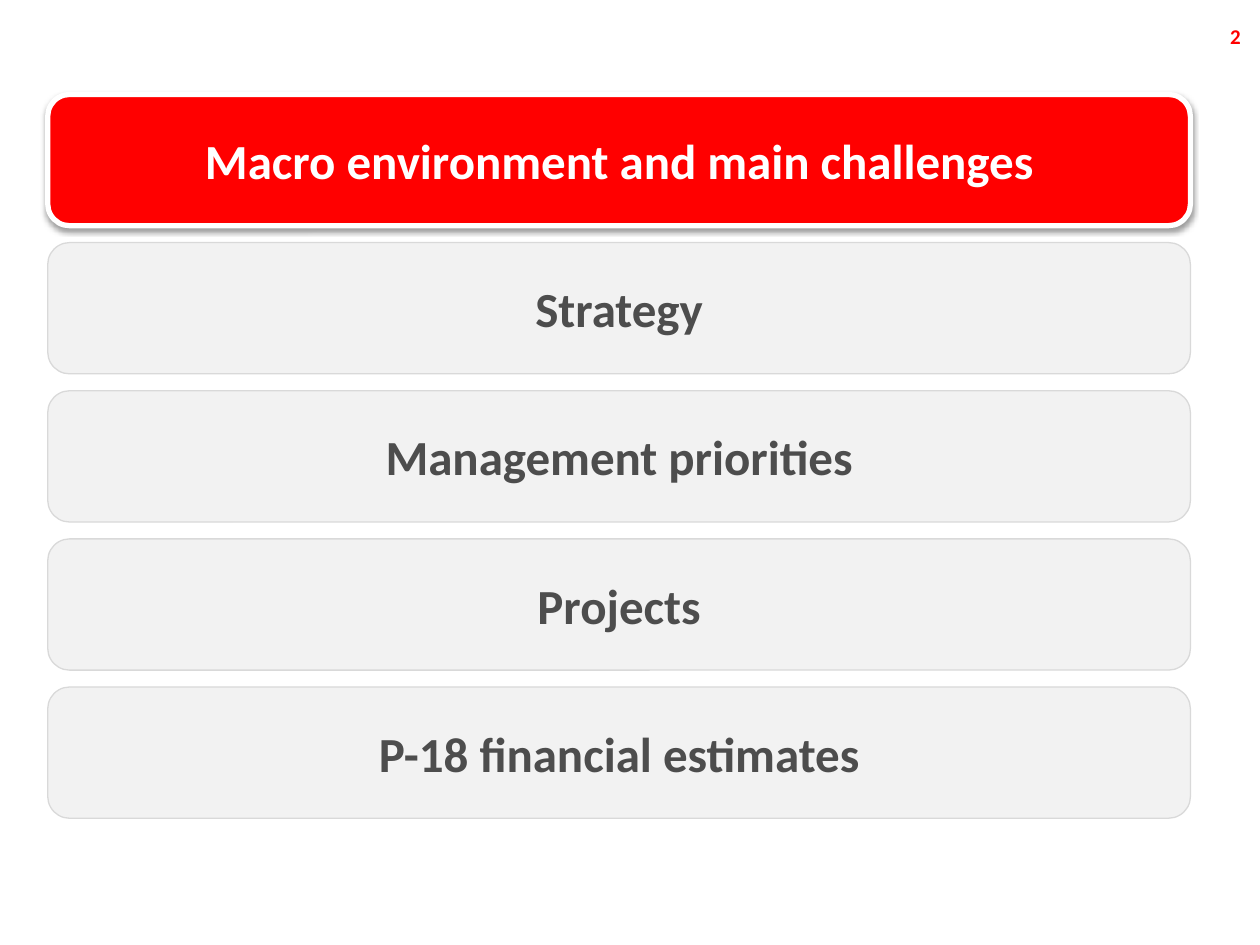
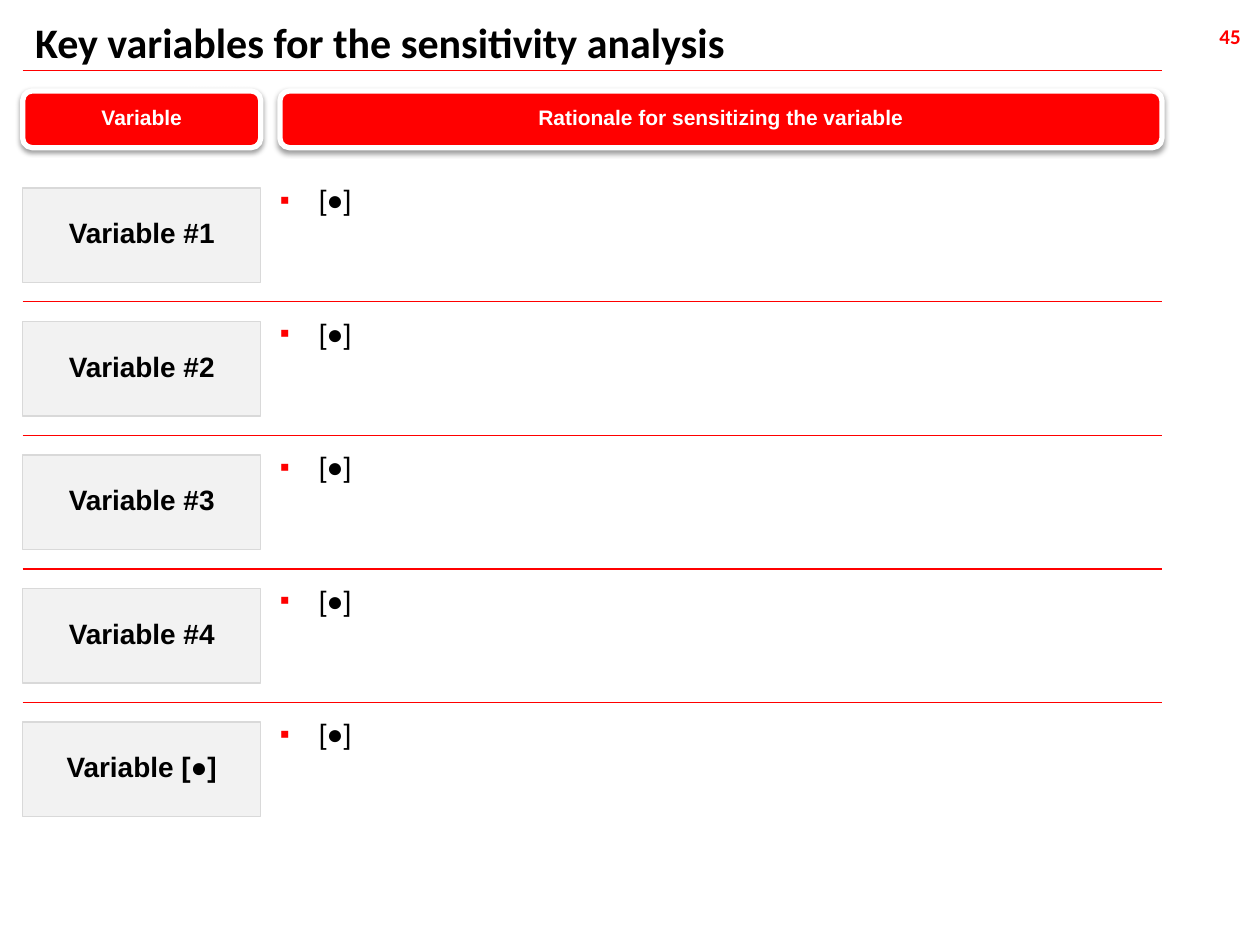
from dataclasses import dataclass

from lxml.etree import SubElement
from pptx import Presentation
from pptx.dml.color import RGBColor
from pptx.enum.shapes import MSO_CONNECTOR, MSO_SHAPE
from pptx.enum.text import MSO_ANCHOR, PP_ALIGN
from pptx.oxml.ns import qn
from pptx.util import Pt

RED, WHITE, BLACK = "FF0000", "FFFFFF", "000000"
PANEL, PANEL_EDGE, MUTED = "F2F2F2", "D9D9D9", "4D4D4D"
HEAD_FONT, BODY_FONT = "Calibri", "Arial"

# Agenda slide
AGENDA_LEFT, AGENDA_TOP, AGENDA_WIDTH, AGENDA_HEIGHT = 27.3, 54, 653, 75
AGENDA_PITCH = 84.65
AGENDA = ["Macro environment and main challenges", "Strategy",
          "Management priorities", "Projects", "P-18 financial estimates"]
CURRENT_SECTION = 0

# Variables slide
LEFT, RIGHT = 13, 664
NAME_WIDTH = 136
RATIONALE_LEFT = 160
HEADER_TOP, HEADER_HEIGHT = 52, 32.4
ROW_TOP, ROW_HEIGHT, ROW_PITCH = 107.4, 54, 76.3
DIVIDER_GAP = 11.2
VARIABLES = ["Variable #1", "Variable #2", "Variable #3", "Variable #4", "Variable [●]"]
RATIONALE = "[●]"


@dataclass(frozen=True)
class Box:
    left: float
    top: float
    width: float
    height: float

    def emu(self) -> tuple:
        return Pt(self.left), Pt(self.top), Pt(self.width), Pt(self.height)


@dataclass(frozen=True)
class TextStyle:
    size: float
    color: str
    font: str
    bold: bool = True
    align: PP_ALIGN = PP_ALIGN.CENTER
    spacing: float = 1.0
    margins: tuple = (0, 0)


@dataclass(frozen=True)
class PanelStyle:
    shape: MSO_SHAPE
    fill: str
    line: str
    line_width: float
    shadow: bool = False


HIGHLIGHT = PanelStyle(MSO_SHAPE.ROUNDED_RECTANGLE, RED, WHITE, 3, shadow=True)
ROUNDED = PanelStyle(MSO_SHAPE.ROUNDED_RECTANGLE, PANEL, PANEL_EDGE, 0.75)
SQUARE = PanelStyle(MSO_SHAPE.RECTANGLE, PANEL, PANEL_EDGE, 0.75)

NUMBER_TEXT = TextStyle(12, RED, HEAD_FONT, align=PP_ALIGN.RIGHT, margins=(4.5, 3.6))
TITLE_TEXT = TextStyle(24, BLACK, HEAD_FONT, align=PP_ALIGN.LEFT, margins=(7.2, 3.6))
CURRENT_TEXT = TextStyle(28, WHITE, HEAD_FONT, margins=(4.5, 3.6))
SECTION_TEXT = TextStyle(28, MUTED, HEAD_FONT, margins=(4.5, 3.6))
HEADER_TEXT = TextStyle(12, WHITE, BODY_FONT, spacing=0.85)
NAME_TEXT = TextStyle(16, BLACK, BODY_FONT, spacing=0.85)
RATIONALE_TEXT = TextStyle(16, BLACK, BODY_FONT, bold=False,
                           align=PP_ALIGN.LEFT, spacing=0.85)


def rgb(color: str) -> RGBColor:
    return RGBColor.from_string(color)


def add_bullet(p) -> None:
    """Give the paragraph a red square bullet with a hanging indent."""
    pPr = p._p.get_or_add_pPr()
    indent = Pt(22.3)
    pPr.set("marL", str(indent))
    pPr.set("indent", str(-indent))
    SubElement(SubElement(pPr, qn("a:buClr")), qn("a:srgbClr"), val=RED)
    SubElement(pPr, qn("a:buFont"), typeface=BODY_FONT)
    SubElement(pPr, qn("a:buChar"), char="▪")


def write(sp, text: str, style: TextStyle, anchor=MSO_ANCHOR.TOP, bullet: bool = False) -> None:
    tf = sp.text_frame
    tf.word_wrap = True
    tf.vertical_anchor = anchor
    tf.margin_left = tf.margin_right = Pt(style.margins[0])
    tf.margin_top = tf.margin_bottom = Pt(style.margins[1])
    tf.text = text
    p = tf.paragraphs[0]
    if bullet:
        add_bullet(p)
    p.alignment = style.align
    p.line_spacing = style.spacing
    for r in p.runs:
        r.font.name = style.font
        r.font.size = Pt(style.size)
        r.font.bold = style.bold
        r.font.color.rgb = rgb(style.color)


def add_text(slide, box: Box, text: str, style: TextStyle, bullet: bool = False) -> None:
    write(slide.shapes.add_textbox(*box.emu()), text, style, bullet=bullet)


def add_shadow(sp) -> None:
    """Put a soft downward shadow in the shape's empty effect list."""
    effects = sp._element.spPr.find(qn("a:effectLst"))
    shadow = SubElement(effects, qn("a:outerShdw"), blurRad=str(Pt(3.1)),
                        dist=str(Pt(1.6)), dir="5400000", rotWithShape="0")
    color = SubElement(shadow, qn("a:srgbClr"), val=BLACK)
    SubElement(color, qn("a:alpha"), val="38000")


def add_panel(slide, box: Box, text: str, panel: PanelStyle, style: TextStyle) -> None:
    sp = slide.shapes.add_shape(panel.shape, *box.emu())
    sp.shadow.inherit = False
    if panel.shadow:
        add_shadow(sp)
    sp.fill.solid()
    sp.fill.fore_color.rgb = rgb(panel.fill)
    sp.line.color.rgb = rgb(panel.line)
    sp.line.width = Pt(panel.line_width)
    write(sp, text, style, MSO_ANCHOR.MIDDLE)


def add_rule(slide, y: float) -> None:
    """Draw a thin red line across the content width."""
    line = slide.shapes.add_connector(MSO_CONNECTOR.STRAIGHT, Pt(LEFT), Pt(y), Pt(RIGHT), Pt(y))
    line.line.color.rgb = rgb(RED)
    line.line.width = Pt(0.75)
    SubElement(line._element.spPr, qn("a:effectLst"))


def add_slide(prs, number: int):
    """Add a blank slide that shows its page number."""
    slide = prs.slides.add_slide(prs.slide_layouts[6])
    add_text(slide, Box(683.3, 10.1, 30.2, 22.3), str(number), NUMBER_TEXT)
    return slide


def build_agenda(prs) -> None:
    slide = add_slide(prs, 2)
    for i, section in enumerate(AGENDA):
        box = Box(AGENDA_LEFT, AGENDA_TOP + i * AGENDA_PITCH, AGENDA_WIDTH, AGENDA_HEIGHT)
        if i == CURRENT_SECTION:
            add_panel(slide, box, section, HIGHLIGHT, CURRENT_TEXT)
        else:
            add_panel(slide, box, section, ROUNDED, SECTION_TEXT)


def build_variables(prs) -> None:
    slide = add_slide(prs, 45)
    add_text(slide, Box(LEFT, 5.8, 689, 36), "Key variables for the sensitivity analysis", TITLE_TEXT)
    add_rule(slide, 40.3)

    rationale_width = RIGHT - RATIONALE_LEFT
    headers = [(LEFT, NAME_WIDTH, "Variable"),
               (RATIONALE_LEFT, rationale_width, "Rationale for sensitizing the variable")]
    for left, width, header in headers:
        add_panel(slide, Box(left, HEADER_TOP, width, HEADER_HEIGHT), header, HIGHLIGHT, HEADER_TEXT)

    for i, variable in enumerate(VARIABLES):
        top = ROW_TOP + i * ROW_PITCH
        if i:
            add_rule(slide, top - DIVIDER_GAP)
        add_panel(slide, Box(LEFT, top, NAME_WIDTH, ROW_HEIGHT), variable, SQUARE, NAME_TEXT)
        add_text(slide, Box(RATIONALE_LEFT, top, rationale_width, ROW_HEIGHT),
                 RATIONALE, RATIONALE_TEXT, bullet=True)


def main() -> None:
    prs = Presentation()
    prs.slide_width, prs.slide_height = Pt(720), Pt(540)
    build_agenda(prs)
    build_variables(prs)
    prs.save("out.pptx")


if __name__ == "__main__":
    main()
